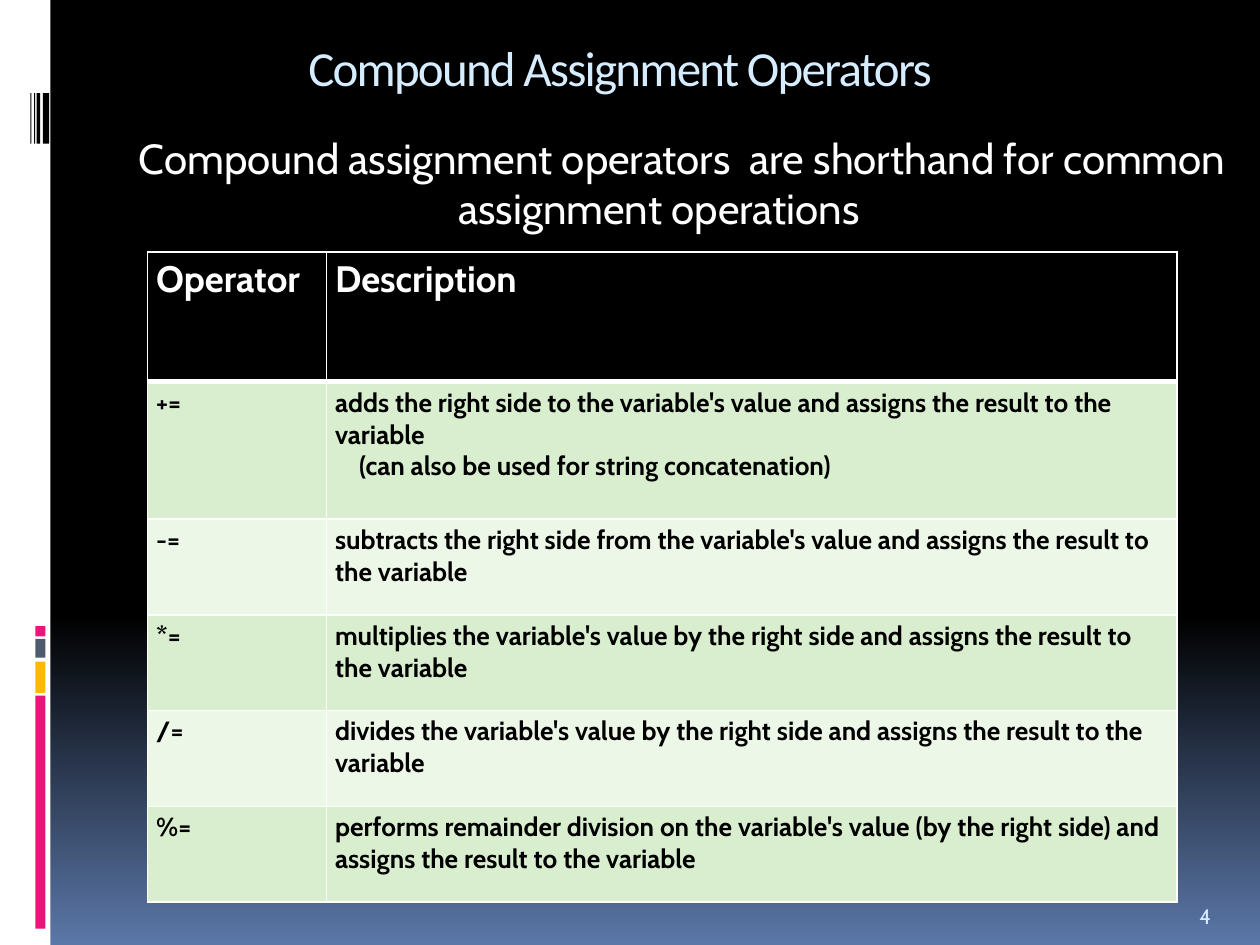
from dataclasses import dataclass
from typing import NamedTuple

from lxml.etree import SubElement
from pptx import Presentation
from pptx.dml.color import RGBColor
from pptx.enum.shapes import MSO_SHAPE
from pptx.enum.text import MSO_ANCHOR, PP_ALIGN
from pptx.oxml.ns import qn
from pptx.util import Inches, Pt

COLUMNS, ROWS = 100, 75  # square grid cells of a tenth of an inch


def cells(count: float) -> int:
    return Inches(count / 10)


class Area(NamedTuple):
    """Left, top, width and height in grid cells."""
    left: float
    top: float
    width: float
    height: float

    def lengths(self) -> list[int]:
        return [cells(count) for count in self]


@dataclass(frozen=True)
class Theme:
    black: str = "000000"
    white: str = "FFFFFF"
    glow: str = "5B77A8"
    pale_blue: str = "D6ECFF"
    pink: str = "EA157A"
    amber: str = "FEB80A"
    slate: str = "4E5B6F"
    bands: tuple[str, str] = ("D8EECE", "ECF7E8")
    heading_font: str = "Calibri"
    body_font: str = "Cabin"
    title_size: int = 28
    lead_size: int = 24
    header_size: int = 21
    cell_size: int = 15
    number_size: int = 12


class Bar(NamedTuple):
    area: Area
    color: str


class Operator(NamedTuple):
    symbol: str
    meaning: str
    remark: str = ""


THEME = Theme()
BARS = [
    Bar(Area(0, 0, 4, ROWS), THEME.white),
    *(Bar(Area(2.8, top, 0.8, height), color) for top, height, color in (
        (55.2, 18.5, THEME.pink), (52.5, 2.5, THEME.amber),
        (50.7, 1.5, THEME.slate), (49.7, 0.8, THEME.pink))),
    *(Bar(Area(left, 7.4, width, 4), THEME.black) for left, width in (
        (3.4, 0.5), (2.9, 0.3), (2.7, 0.1), (2.4, 0.1))),
]
OPERATORS = [
    Operator("+=", "adds the right side to the variable's value and assigns the result to the variable",
             "(can also be used for string concatenation)"),
    Operator("-=", "subtracts the right side from the variable's value and assigns the result to the variable"),
    Operator("*=", "multiplies the variable's value by the right side and assigns the result to the variable"),
    Operator("/=", "divides the variable's value by the right side and assigns the result to the variable"),
    Operator("%=", "performs remainder division on the variable's value (by the right side) "
                   "and assigns the result to the variable"),
]
TABLE_AREA = Area(11.7, 20, 81.7, 51.7)
TABLE_COLUMNS = (14.2, 67.5)
TABLE_ROWS = (10.3, 10.9, 7.6, 7.6, 7.6, 7.6)


def place(shape, area: Area) -> None:
    shape.left, shape.top, shape.width, shape.height = area.lengths()


def style(para, size: int, color: str, font: str = THEME.body_font, bold: bool = False) -> None:
    para.font.size = Pt(size)
    para.font.name = font
    para.font.bold = bold
    para.font.color.rgb = RGBColor.from_string(color)


def paint_background(page) -> None:
    fill = page.background.fill
    fill.gradient()
    fill.gradient_angle = 270
    for stop, position, color in zip(fill.gradient_stops, (0.65, 1), (THEME.black, THEME.glow)):
        stop.position = position
        stop.color.rgb = RGBColor.from_string(color)


def draw_bar(page, bar: Bar) -> None:
    shape = page.shapes.add_shape(MSO_SHAPE.RECTANGLE, *bar.area.lengths())
    shape.shadow.inherit = False
    shape.fill.solid()
    shape.fill.fore_color.rgb = RGBColor.from_string(bar.color)
    shape.line.fill.background()


def write_title(page) -> None:
    title = page.shapes.title
    place(title, Area(5, 2.5, 88.4, 10))
    title.text_frame.vertical_anchor = MSO_ANCHOR.TOP
    para = title.text_frame.paragraphs[0]
    span = para.add_run()
    span.text = "Compound Assignment Operators"
    span.font._element.set("spc", "-100")
    para.alignment = PP_ALIGN.CENTER
    style(para, THEME.title_size, THEME.pale_blue, THEME.heading_font)


def write_lead(page) -> None:
    body = page.placeholders[1]
    place(body, Area(2.2, 10, 99.5, 54.2))
    para = body.text_frame.paragraphs[0]
    para.text = "Compound assignment operators  are shorthand for common assignment operations"
    para.alignment = PP_ALIGN.CENTER
    para.space_before = Pt(7)
    style(para, THEME.lead_size, THEME.white)
    properties = para._p.get_or_add_pPr()
    properties.set("marL", str(cells(0.7)))
    properties.set("indent", str(cells(3.7)))
    properties.insert_element_before(properties.makeelement(qn("a:buNone")), "a:tabLst", "a:defRPr")


def write_page_number(page) -> None:
    box = page.shapes.add_textbox(*Area(94.2, 70.2, 5, 4).lengths())
    box.text_frame.word_wrap = True
    box.text_frame.vertical_anchor = MSO_ANCHOR.BOTTOM
    para = box.text_frame.paragraphs[0]
    para.text = "4"
    style(para, THEME.number_size, THEME.pale_blue)


def border(cell, bottom_width: float) -> None:
    properties = cell._tc.get_or_add_tcPr()
    for side, width in (("L", 1), ("R", 1), ("T", 1), ("B", bottom_width)):
        line = SubElement(properties, qn(f"a:ln{side}"), w=str(Pt(width)))
        SubElement(SubElement(line, qn("a:solidFill")), qn("a:srgbClr"), val=THEME.white)


def fill_cell(cell, lines: list[str], size: int, color: str, back: str, bottom_width: float) -> None:
    """Writes the lines, indenting those after the first."""
    border(cell, bottom_width)
    cell.fill.solid()
    cell.fill.fore_color.rgb = RGBColor.from_string(back)
    cell.margin_left = cell.margin_right = cells(0.7)
    cell.margin_top = cell.margin_bottom = cells(0.4)
    cell.text = "\n".join(lines)
    for index, para in enumerate(cell.text_frame.paragraphs):
        style(para, size, color, bold=True)
        if index:
            para._p.get_or_add_pPr().set("marL", str(cells(1.9)))


def draw_table(page) -> None:
    frame = page.shapes.add_table(len(TABLE_ROWS), len(TABLE_COLUMNS), *TABLE_AREA.lengths())
    table = frame.table
    for column, width in zip(table.columns, TABLE_COLUMNS):
        column.width = cells(width)
    for row, height in zip(table.rows, TABLE_ROWS):
        row.height = cells(height)
    for cell, heading in zip(table.rows[0].cells, ("Operator", "Description")):
        fill_cell(cell, [heading], THEME.header_size, THEME.white, THEME.black, 3)
    for index, operator in enumerate(OPERATORS):
        symbol_cell, meaning_cell = table.rows[index + 1].cells
        meaning = [line for line in (operator.meaning, operator.remark) if line]
        for cell, lines in ((symbol_cell, [operator.symbol]), (meaning_cell, meaning)):
            fill_cell(cell, lines, THEME.cell_size, THEME.black, THEME.bands[index % 2], 1)
    for cell in table.rows[1].cells:
        cell._tc.tcPr.find(qn("a:lnT")).set("w", str(Pt(3)))


def main() -> None:
    deck = Presentation()
    deck.slide_width, deck.slide_height = cells(COLUMNS), cells(ROWS)
    page = deck.slides.add_slide(deck.slide_layouts[1])
    paint_background(page)
    for bar in BARS:
        draw_bar(page, bar)
    write_title(page)
    write_lead(page)
    write_page_number(page)
    draw_table(page)
    deck.save("out.pptx")


if __name__ == "__main__":
    main()
